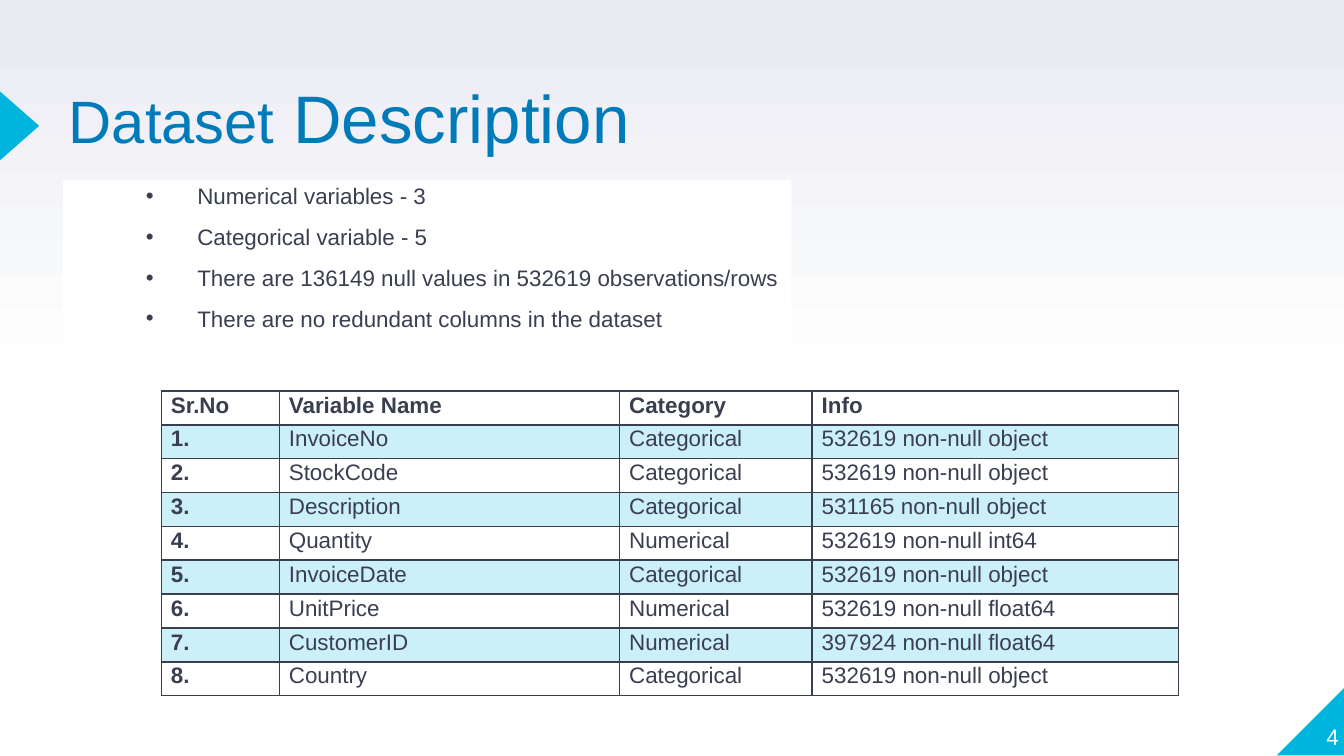
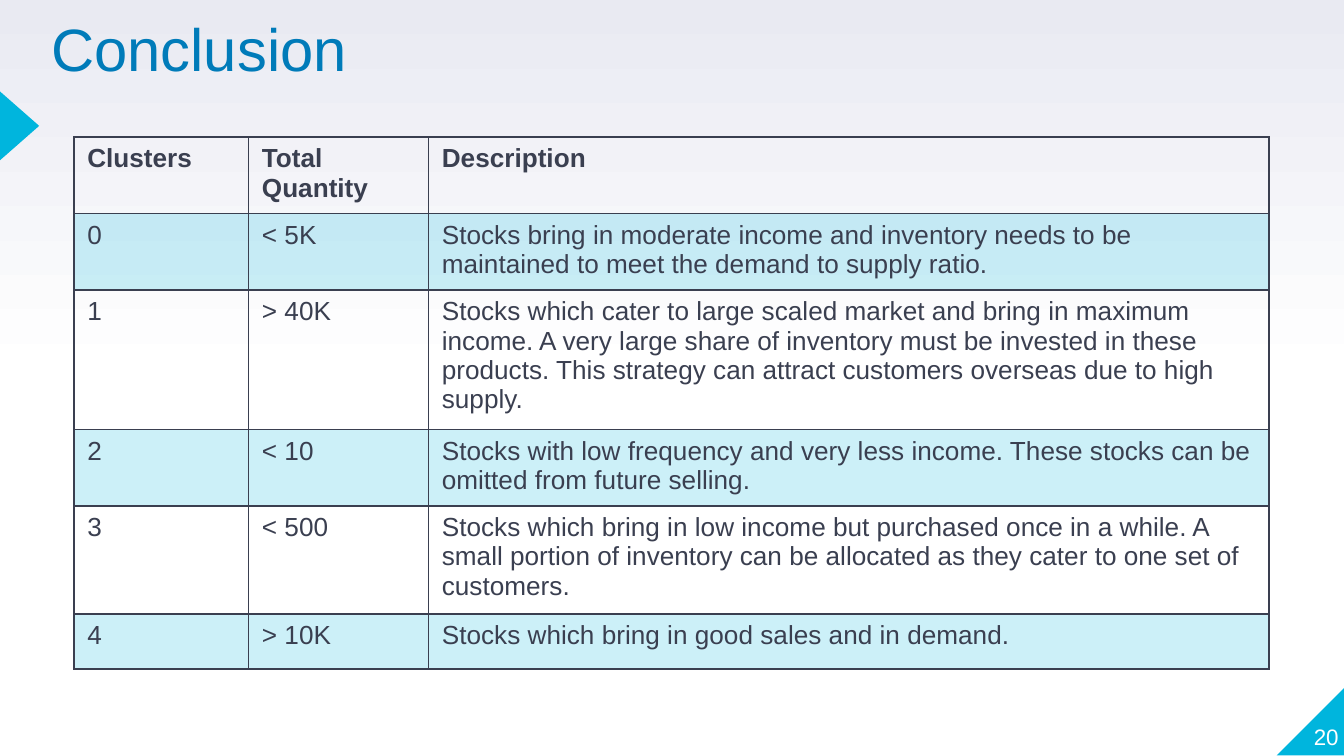
"""Build two slides: a dataset description and a cluster conclusion."""
from dataclasses import dataclass
from typing import Any, NamedTuple

from lxml.etree import SubElement
from pptx import Presentation
from pptx.dml.color import RGBColor
from pptx.enum.shapes import MSO_SHAPE
from pptx.enum.text import MSO_ANCHOR, PP_ALIGN
from pptx.oxml.ns import qn
from pptx.util import Cm, Pt


@dataclass(frozen=True)
class Theme:
    """Colours, font and type sizes of the deck."""
    accent: str = "00B5DD"
    title: str = "007BB9"
    ink: str = "3A3F50"
    white: str = "FFFFFF"
    haze: str = "E9EAF2"
    font: str = "Arial"
    title_size: float = 32
    title_large: float = 36
    body_size: float = 12
    table_large: float = 14
    band_alpha: int = 20


class Box(NamedTuple):
    """Place and size in centimetres."""
    left: float
    top: float
    width: float
    height: float

    def lengths(self) -> list[Cm]:
        """Return the four measures as lengths."""
        return [Cm(value) for value in self]


class Words(NamedTuple):
    """A piece of text with its look."""
    text: str
    size: float
    color: str
    bold: bool = False


class Grid(NamedTuple):
    """A banded table; cells are split into rows of the column count."""
    left: float
    top: float
    columns: tuple[float, ...]
    row_height: float
    size: float
    margins: tuple[float, float]
    line_spacing: float
    bold_first_column: bool
    rows: list[tuple[str, ...]]


class Page(NamedTuple):
    """The content of one slide."""
    number: str
    title_box: Box
    title: list[Words]
    grid: Grid
    bullets: tuple[str, ...] = ()


THEME = Theme()
CORNER = Box(24.13, 12.98, 1.3, 1.3)
ARROW = Box(-0.28, 2.01, 1.3, 0.74)
NUMBER_BOX = Box(24.03, 12.88, 1.27, 1.3)
BULLET_BOX = Box(1.19, 3.4, 13.77, 3.25)
NO_STYLE = "{2D5ABB26-0587-4C30-8999-92F81FD0307C}"

VARIABLES = [
    ("InvoiceNo", "Categorical", "532619 non-null object"),
    ("StockCode", "Categorical", "532619 non-null object"),
    ("Description", "Categorical", "531165 non-null object"),
    ("Quantity", "Numerical", "532619 non-null int64"),
    ("InvoiceDate", "Categorical", "532619 non-null object"),
    ("UnitPrice", "Numerical", "532619 non-null float64"),
    ("CustomerID", "Numerical", "397924 non-null float64"),
    ("Country", "Categorical", "532619 non-null object"),
]
CLUSTERS = [
    ("< 5K", "Stocks bring in moderate income and inventory needs to be maintained "
             "to meet the demand to supply ratio."),
    ("> 40K", "Stocks which cater to large scaled market and bring in maximum income. "
              "A very large share of inventory must be invested in these products. "
              "This strategy can attract customers overseas due to high supply."),
    ("< 10", "Stocks with low frequency and very less income. These stocks can be "
             "omitted from future selling."),
    ("< 500", "Stocks which bring in low income but purchased once in a while. A small "
              "portion of inventory can be allocated as they cater to one set of customers."),
    ("> 10K", "Stocks which bring in good sales and in demand."),
]

PAGES = [
    Page(
        number="4",
        title_box=Box(1.3, 1.68, 15.65, 1.35),
        title=[Words("Dataset", THEME.title_size, THEME.title),
               Words(" Description", THEME.title_large, THEME.title)],
        grid=Grid(3.05, 7.39, (2.23, 6.43, 3.64, 6.92), 0.64, THEME.body_size,
                  (0.18, 0), 1.07, True,
                  [("Sr.No", "Variable Name", "Category", "Info")]
                  + [(f"{number}.", *row) for number, row in enumerate(VARIABLES, 1)]),
        bullets=("Numerical variables - 3",
                 "Categorical variable - 5",
                 "There are 136149 null values in 532619 observations/rows",
                 "There are no redundant columns in the dataset"),
    ),
    Page(
        number="20",
        title_box=Box(0.97, 0.43, 21.46, 1.19),
        title=[Words("Conclusion", THEME.title_size, THEME.title)],
        grid=Grid(1.4, 2.59, (3.3, 3.4, 15.88), 1.04, THEME.table_large,
                  (0.25, 0.13), 1.0, False,
                  [("Clusters", "Total Quantity", "Description")]
                  + [(str(number), *row) for number, row in enumerate(CLUSTERS)]),
    ),
]


def apply_format(target: Any, values: dict[str, Any]) -> None:
    """Set every attribute named in the dict."""
    for name, value in values.items():
        setattr(target, name, value)


def add_color(parent: Any, color: str) -> Any:
    """Append an RGB colour element."""
    return SubElement(parent, qn("a:srgbClr"), val=color)


def write_runs(paragraph: Any, pieces: list[Words]) -> None:
    """Add styled runs to a paragraph."""
    for piece in pieces:
        run = paragraph.add_run()
        run.text = piece.text
        apply_format(run.font, {"name": THEME.font, "size": Pt(piece.size), "bold": piece.bold})
        run.font.color.rgb = RGBColor.from_string(piece.color)


def add_text_box(slide: Any, box: Box, anchor: MSO_ANCHOR) -> Any:
    """Add a wrapped text box without margins."""
    shape = slide.shapes.add_textbox(*box.lengths())
    apply_format(shape.text_frame, {
        "word_wrap": True, "vertical_anchor": anchor, "margin_left": 0,
        "margin_top": 0, "margin_right": 0, "margin_bottom": 0})
    return shape


def add_accent(slide: Any, kind: MSO_SHAPE, box: Box) -> Any:
    """Add a plain accent-coloured shape."""
    shape = slide.shapes.add_shape(kind, *box.lengths())
    shape.shadow.inherit = False
    shape.fill.solid()
    shape.fill.fore_color.rgb = RGBColor.from_string(THEME.accent)
    shape.line.fill.background()
    return shape


def draw_frame(slide: Any, page: Page) -> None:
    """Draw the corner, arrow, title and slide number."""
    corner = add_accent(slide, MSO_SHAPE.RIGHT_TRIANGLE, CORNER)
    corner.element.spPr.find(qn("a:xfrm")).set("flipH", "1")
    add_accent(slide, MSO_SHAPE.ISOSCELES_TRIANGLE, ARROW).rotation = 90
    title = add_text_box(slide, page.title_box, MSO_ANCHOR.MIDDLE).text_frame.paragraphs[0]
    title.line_spacing = 0.8
    write_runs(title, page.title)
    number = add_text_box(slide, NUMBER_BOX, MSO_ANCHOR.BOTTOM).text_frame.paragraphs[0]
    number.alignment = PP_ALIGN.RIGHT
    write_runs(number, [Words(page.number, THEME.body_size, THEME.white)])


def draw_bullets(slide: Any, lines: tuple[str, ...]) -> None:
    """Draw the bulleted list on a white panel."""
    shape = add_text_box(slide, BULLET_BOX, MSO_ANCHOR.TOP)
    shape.fill.solid()
    shape.fill.fore_color.rgb = RGBColor.from_string(THEME.white)
    frame = shape.text_frame
    for index, line in enumerate(lines):
        paragraph = frame.add_paragraph() if index else frame.paragraphs[0]
        apply_format(paragraph, {"level": 1, "line_spacing": 1.1, "space_before": Pt(6)})
        properties = paragraph._p.get_or_add_pPr()
        properties.set("marL", str(Cm(2.54)))
        properties.set("indent", str(Cm(-0.97)))
        add_color(SubElement(properties, qn("a:buClr")), THEME.ink)
        SubElement(properties, qn("a:buFont"), typeface=THEME.font)
        SubElement(properties, qn("a:buChar"), char="•")
        write_runs(paragraph, [Words(line, THEME.body_size, THEME.ink)])


def style_cell(cell: Any, banded: bool) -> None:
    """Give a cell its borders and a transparent band or no fill."""
    properties = cell._tc.get_or_add_tcPr()
    for side in ("lnL", "lnR", "lnT", "lnB"):
        line = SubElement(properties, qn(f"a:{side}"), w=str(Pt(1)))
        add_color(SubElement(line, qn("a:solidFill")), THEME.ink)
    if banded:
        cell.fill.solid()
        cell.fill.fore_color.rgb = RGBColor.from_string(THEME.accent)
        color = properties.find(qn("a:solidFill")).find(qn("a:srgbClr"))
        SubElement(color, qn("a:alpha"), val=str(THEME.band_alpha * 1000))
    else:
        cell.fill.background()


def draw_grid(slide: Any, grid: Grid) -> None:
    """Draw a table with a bold heading and banded rows."""
    box = Box(grid.left, grid.top, sum(grid.columns), grid.row_height * len(grid.rows))
    frame = slide.shapes.add_table(len(grid.rows), len(grid.columns), *box.lengths())
    table = frame.table
    apply_format(table, {"first_row": False, "horz_banding": False})
    for style in frame.element.iter(qn("a:tableStyleId")):
        style.text = NO_STYLE
    for column, width in zip(table.columns, grid.columns):
        column.width = Cm(width)
    side, edge = (Cm(margin) for margin in grid.margins)
    for row_index, row in enumerate(grid.rows):
        table.rows[row_index].height = Cm(grid.row_height)
        for column_index, text in enumerate(row):
            cell = table.cell(row_index, column_index)
            apply_format(cell, {"margin_left": side, "margin_right": side,
                                "margin_top": edge, "margin_bottom": edge})
            style_cell(cell, row_index % 2 == 1)
            paragraph = cell.text_frame.paragraphs[0]
            paragraph.line_spacing = grid.line_spacing
            bold = row_index == 0 or (grid.bold_first_column and column_index == 0)
            write_runs(paragraph, [Words(text, grid.size, THEME.ink, bold)])


def paint_background(master: Any) -> None:
    """Give the master a vertical gradient that is white in its lower half."""
    fill = master.background.fill
    fill.gradient()
    fill.gradient_angle = 90
    stops = next(master.element.iter(qn("a:gsLst")))
    for stop in list(stops):
        stops.remove(stop)
    for position, color in ((0, THEME.white), (50, THEME.white), (100, THEME.haze)):
        add_color(SubElement(stops, qn("a:gs"), pos=str(position * 1000)), color)


def main() -> None:
    """Build and save the presentation."""
    presentation = Presentation()
    apply_format(presentation, {"slide_width": Cm(25.4), "slide_height": Cm(14.29)})
    paint_background(presentation.slide_master)
    for page in PAGES:
        slide = presentation.slides.add_slide(presentation.slide_layouts[6])
        draw_frame(slide, page)
        if page.bullets:
            draw_bullets(slide, page.bullets)
        draw_grid(slide, page.grid)
    presentation.save("out.pptx")


if __name__ == "__main__":
    main()
